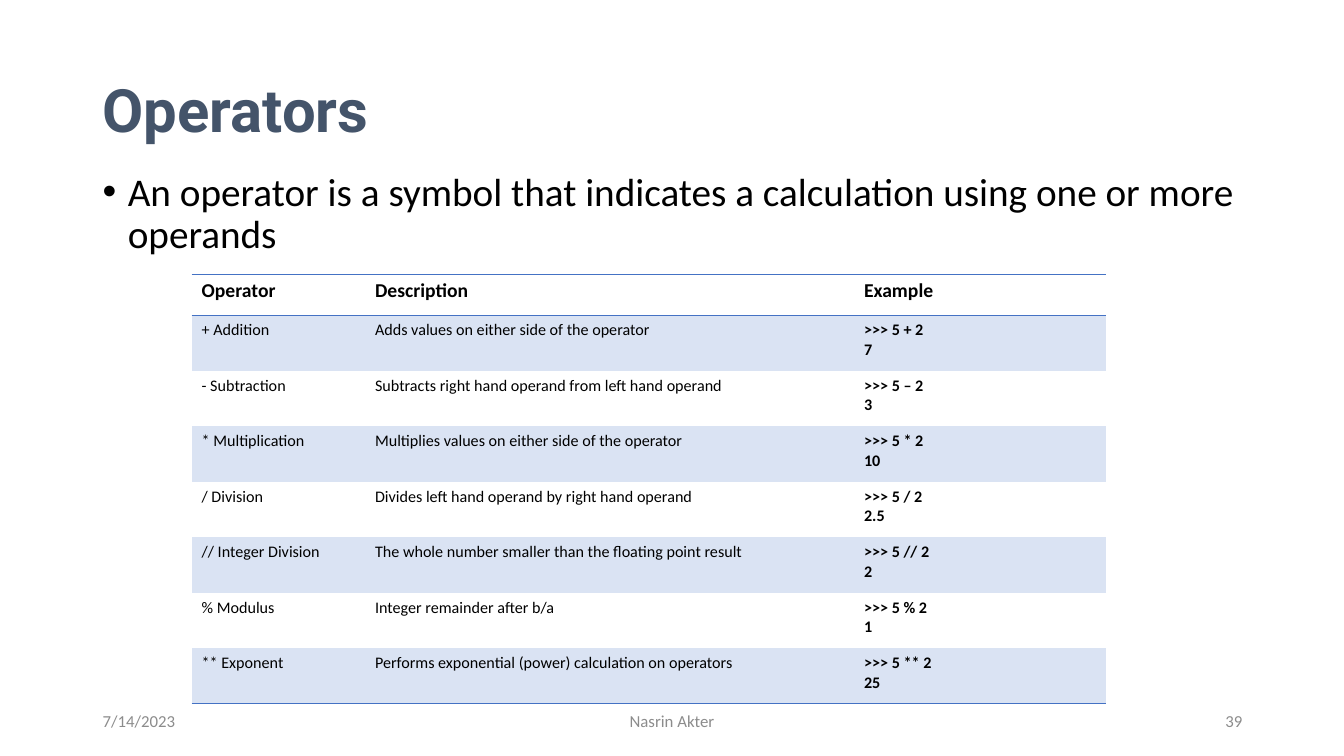
from lxml import etree
from pptx import Presentation, util as u
from pptx.dml.color import RGBColor
from pptx.enum import text as t
from pptx.oxml import ns

W, H = 13.33, 7.5
BLACK = RGBColor(0, 0, 0)
SLATE = RGBColor(0x44, 0x54, 0x6A)
GRAY = RGBColor(0x8C, 0x8C, 0x8C)
BLUE = RGBColor(0x44, 0x72, 0xC4)
PALE = RGBColor(0xDA, 0xE3, 0xF3)
LEFT, MID, RIGHT = t.PP_ALIGN.LEFT, t.PP_ALIGN.CENTER, t.PP_ALIGN.RIGHT
TOP, CENTER = t.MSO_ANCHOR.TOP, t.MSO_ANCHOR.MIDDLE

deck = Presentation()
deck.slide_width, deck.slide_height = u.Inches(W), u.Inches(H)
slide = deck.slides.add_slide(deck.slide_layouts[6])


def write(frame, words, size=12, font="Calibri", color=BLACK, bold=False,
          align=LEFT, anchor=TOP, line=None, bullet=False):
    frame.word_wrap = True
    frame.vertical_anchor = anchor
    for i, words in enumerate(words.split("\n")):
        para = frame.add_paragraph() if i else frame.paragraphs[0]
        para.alignment = align
        if line:
            para.line_spacing = line
        if bullet:
            prop = para._p.get_or_add_pPr()
            prop.set("marL", str(u.Inches(0.25)))
            prop.set("indent", str(-u.Inches(0.25)))
            etree.SubElement(prop, ns.qn("a:buFont"), typeface="Arial")
            etree.SubElement(prop, ns.qn("a:buChar"), char="•")
        run = para.add_run()
        run.text = words
        run.font.size, run.font.name = u.Pt(size), font
        run.font.bold, run.font.color.rgb = bold, color


def rule(cell, side):
    edge = etree.SubElement(cell._tc.get_or_add_tcPr(), ns.qn("a:" + side),
                            w=str(u.Pt(1)))
    fill = etree.SubElement(edge, ns.qn("a:solidFill"))
    etree.SubElement(fill, ns.qn("a:srgbClr"), val=str(BLUE))


# Title, bullet and footer
EDGE, WIDE = 0.92, 11.5
FOOT = dict(color=GRAY, anchor=CENTER)
for x, y, w, h, words, form in [
    (EDGE, 0.4, WIDE, 1.45, "Operators",
     dict(size=42.7, font="Roboto", color=SLATE, bold=True,
          anchor=CENTER, line=0.9)),
    (EDGE, 1.66, WIDE, 1.0,
     "An operator is a symbol that indicates a calculation "
     "using one or more operands",
     dict(size=28, line=0.9, bullet=True)),
    (EDGE, 6.95, 3, 0.4, "7/14/2023", FOOT),
    ((W - 4.5) / 2, 6.95, 4.5, 0.4, "Nasrin Akter", dict(FOOT, align=MID)),
    (EDGE + WIDE - 3, 6.95, 3, 0.4, "39", dict(FOOT, align=RIGHT)),
]:
    box = slide.shapes.add_textbox(*map(u.Inches, (x, y, w, h)))
    write(box.text_frame, words, **form)

# Operator table
ROWS = [
    ("Operator", "Description", "Example"),
    ("+ Addition", "Adds values on either side of the operator",
     ">>> 5 + 2\n7"),
    ("- Subtraction", "Subtracts right hand operand from left hand operand",
     ">>> 5 – 2\n3"),
    ("* Multiplication", "Multiplies values on either side of the operator",
     ">>> 5 * 2\n10"),
    ("/ Division", "Divides left hand operand by right hand operand",
     ">>> 5 / 2\n2.5"),
    ("// Integer Division",
     "The whole number smaller than the floating point result",
     ">>> 5 // 2\n2"),
    ("% Modulus", "Integer remainder after b/a", ">>> 5 % 2\n1"),
    ("** Exponent", "Performs exponential (power) calculation on operators",
     ">>> 5 ** 2\n25"),
]
COLS = [1.72, 4.85, 2.5]
HEAD, STEP = 0.41, 0.55
NO_STYLE = "{2D5ABB26-0587-4C30-8999-92F81FD0307C}"
last = len(ROWS) - 1
grid = slide.shapes.add_table(
    len(ROWS), len(COLS), u.Inches(1.9), u.Inches(2.72),
    u.Inches(sum(COLS)), u.Inches(HEAD + last * STEP)).table
grid._tbl.tblPr.find(ns.qn("a:tableStyleId")).text = NO_STYLE
for col, w in zip(grid.columns, COLS):
    col.width = u.Inches(w)

for r, row in enumerate(ROWS):
    grid.rows[r].height = u.Inches(STEP if r else HEAD)
    for c, words in enumerate(row):
        cell = grid.cell(r, c)
        write(cell.text_frame, words, size=11.5 if r else 14,
              bold=r == 0 or c == 2)
        if r == 0:
            rule(cell, "lnT")
        if r in (0, last):
            rule(cell, "lnB")
        if r % 2:
            cell.fill.solid()
            cell.fill.fore_color.rgb = PALE
        else:
            cell.fill.background()

deck.save("out.pptx")
